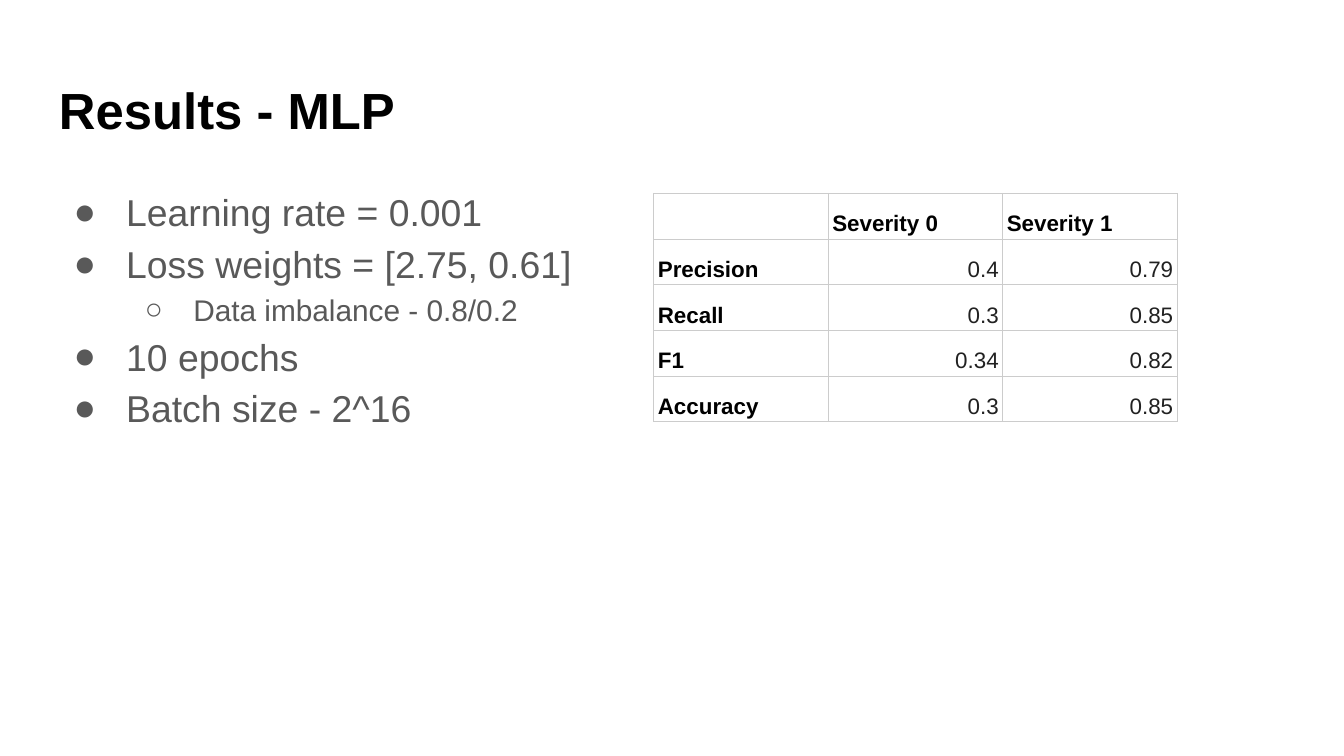
from lxml import etree
from pptx import Presentation
from pptx.dml.color import RGBColor
from pptx.enum.text import MSO_ANCHOR, PP_ALIGN
from pptx.oxml.ns import qn
from pptx.util import Pt

EMU_PER_PX = 4572  # 200 px to the inch
LEFT, RIGHT = PP_ALIGN.LEFT, PP_ALIGN.RIGHT
TOP, BOTTOM = MSO_ANCHOR.TOP, MSO_ANCHOR.BOTTOM
FONT = "Arial"
BLACK, GREY, DARK, BORDER, WHITE = "000000", "595959", "212121", "CCCCCC", "FFFFFF"

SETTINGS = [
    (0, "Learning rate = 0.001"),
    (0, "Loss weights = [2.75, 0.61]"),
    (1, "Data imbalance - 0.8/0.2"),
    (0, "10 epochs"),
    (0, "Batch size - 2^16"),
]
# level: (bullet, text size, indent px, hanging px)
BULLET_LEVELS = {0: ("●", 20, 100, 78), 1: ("○", 16, 200, 72)}
METRICS = [
    ("", "Severity 0", "Severity 1"),
    ("Precision", "0.4", "0.79"),
    ("Recall", "0.3", "0.85"),
    ("F1", "0.34", "0.82"),
    ("Accuracy", "0.3", "0.85"),
]


def px(length):
    return length * EMU_PER_PX


def color(hex_string):
    return RGBColor.from_string(hex_string)


def write(paragraph, text, size, text_color, bold=False, align=LEFT, spacing=1.0):
    paragraph.alignment = align
    paragraph.line_spacing = spacing
    run = paragraph.add_run()
    run.text = text
    run.font.name = FONT
    run.font.size = Pt(size)
    run.font.bold = bold
    run.font.color.rgb = color(text_color)


def set_margins(target, horizontal, vertical):
    target.margin_left = target.margin_right = px(horizontal)
    target.margin_top = target.margin_bottom = px(vertical)


def add_text_frame(slide, left, top, width, height):
    box = slide.shapes.add_textbox(px(left), px(top), px(width), px(height))
    frame = box.text_frame
    frame.word_wrap = True
    frame.vertical_anchor = TOP
    set_margins(frame, 20, 20)
    return frame


def add_bullet(paragraph, character, bullet_color, indent, hanging):
    properties = paragraph._p.get_or_add_pPr()
    properties.set("marL", str(px(indent)))
    properties.set("indent", str(px(-hanging)))
    fill = etree.SubElement(properties, qn("a:buClr"))
    etree.SubElement(fill, qn("a:srgbClr"), val=bullet_color)
    etree.SubElement(properties, qn("a:buFont"), typeface=FONT)
    etree.SubElement(properties, qn("a:buChar"), char=character)


def add_borders(cell, line_color, width):
    properties = cell._tc.get_or_add_tcPr()
    for position, side in enumerate(("a:lnL", "a:lnR", "a:lnT", "a:lnB")):
        line = etree.Element(qn(side), w=str(Pt(width)))
        fill = etree.SubElement(line, qn("a:solidFill"))
        etree.SubElement(fill, qn("a:srgbClr"), val=line_color)
        properties.insert(position, line)


def add_title(slide, left, top, width, height):
    frame = add_text_frame(slide, left, top, width, height)
    write(frame.paragraphs[0], "Results - MLP", size=27.2, text_color=BLACK, bold=True)


def add_settings(slide, left, top, width, height):
    frame = add_text_frame(slide, left, top, width, height)
    for index, (level, text) in enumerate(SETTINGS):
        paragraph = frame.add_paragraph() if index else frame.paragraphs[0]
        paragraph.level = level
        character, size, indent, hanging = BULLET_LEVELS[level]
        write(paragraph, text, size=size, text_color=GREY, spacing=1.15)
        add_bullet(paragraph, character, GREY, indent, hanging)


def add_metrics_table(slide, left, top, width, height):
    row_count, column_count = len(METRICS), len(METRICS[0])
    frame = slide.shapes.add_table(
        row_count, column_count, px(left), px(top), px(width), px(height))
    table = frame.table
    table.first_row = table.horz_banding = False
    for row_index, row in enumerate(METRICS):
        for column_index, text in enumerate(row):
            cell = table.cell(row_index, column_index)
            is_header = row_index == 0 or column_index == 0
            set_margins(cell, 6, 4)
            cell.vertical_anchor = BOTTOM
            if is_header:
                cell.fill.background()
            else:
                cell.fill.solid()
                cell.fill.fore_color.rgb = color(WHITE)
            add_borders(cell, BORDER, 0.75)
            if text:
                write(cell.text_frame.paragraphs[0], text, size=12,
                      text_color=BLACK if is_header else DARK, bold=is_header,
                      align=LEFT if is_header else RIGHT, spacing=1.15)


def main():
    presentation = Presentation()
    presentation.slide_width = px(2000)
    presentation.slide_height = px(1125)
    slide = presentation.slides.add_slide(presentation.slide_layouts[6])
    add_title(slide, 68, 97, 1864, 125)
    add_settings(slide, 68, 252, 1864, 747)
    add_metrics_table(slide, 973, 288, 779, 340)
    presentation.save("out.pptx")


if __name__ == "__main__":
    main()
